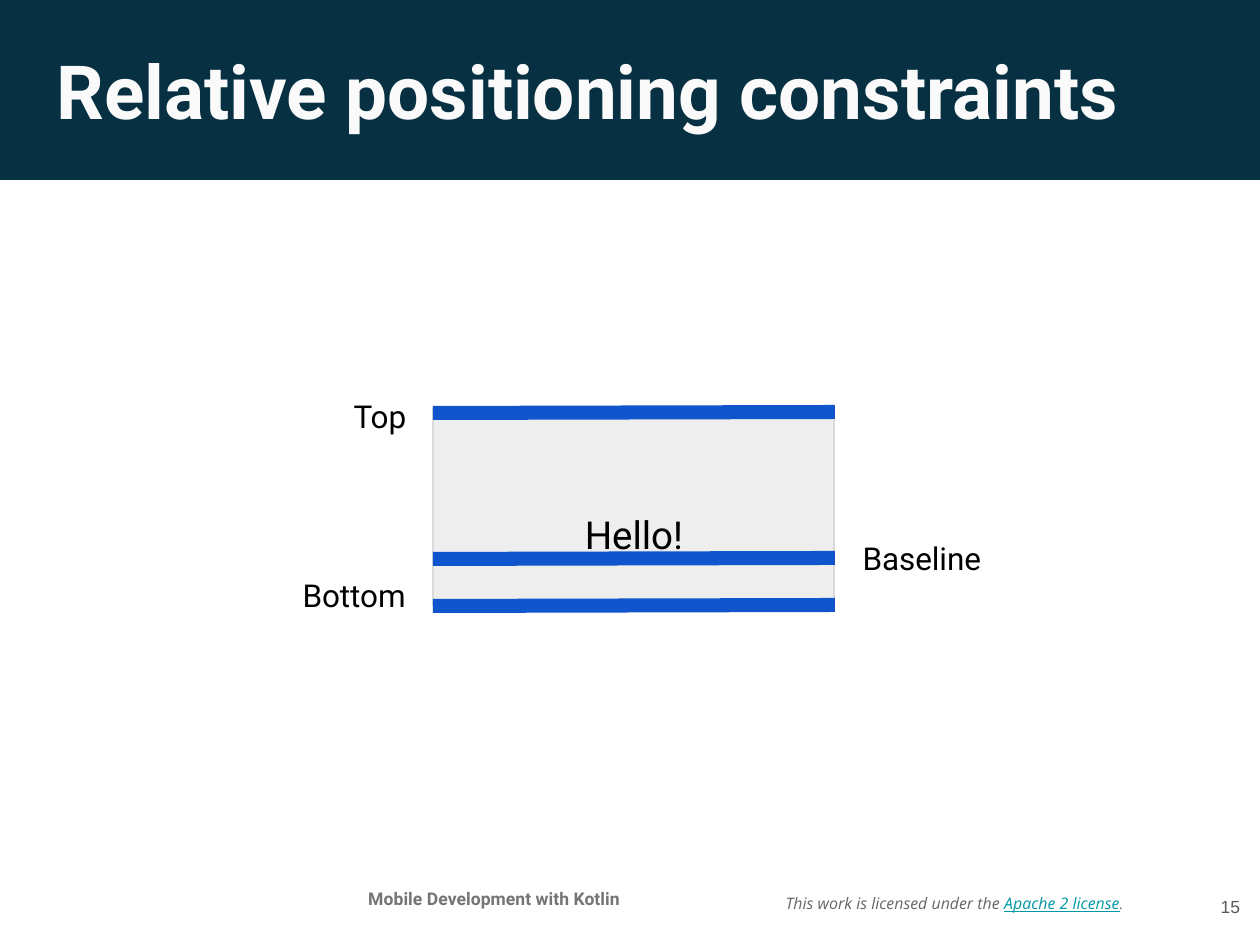
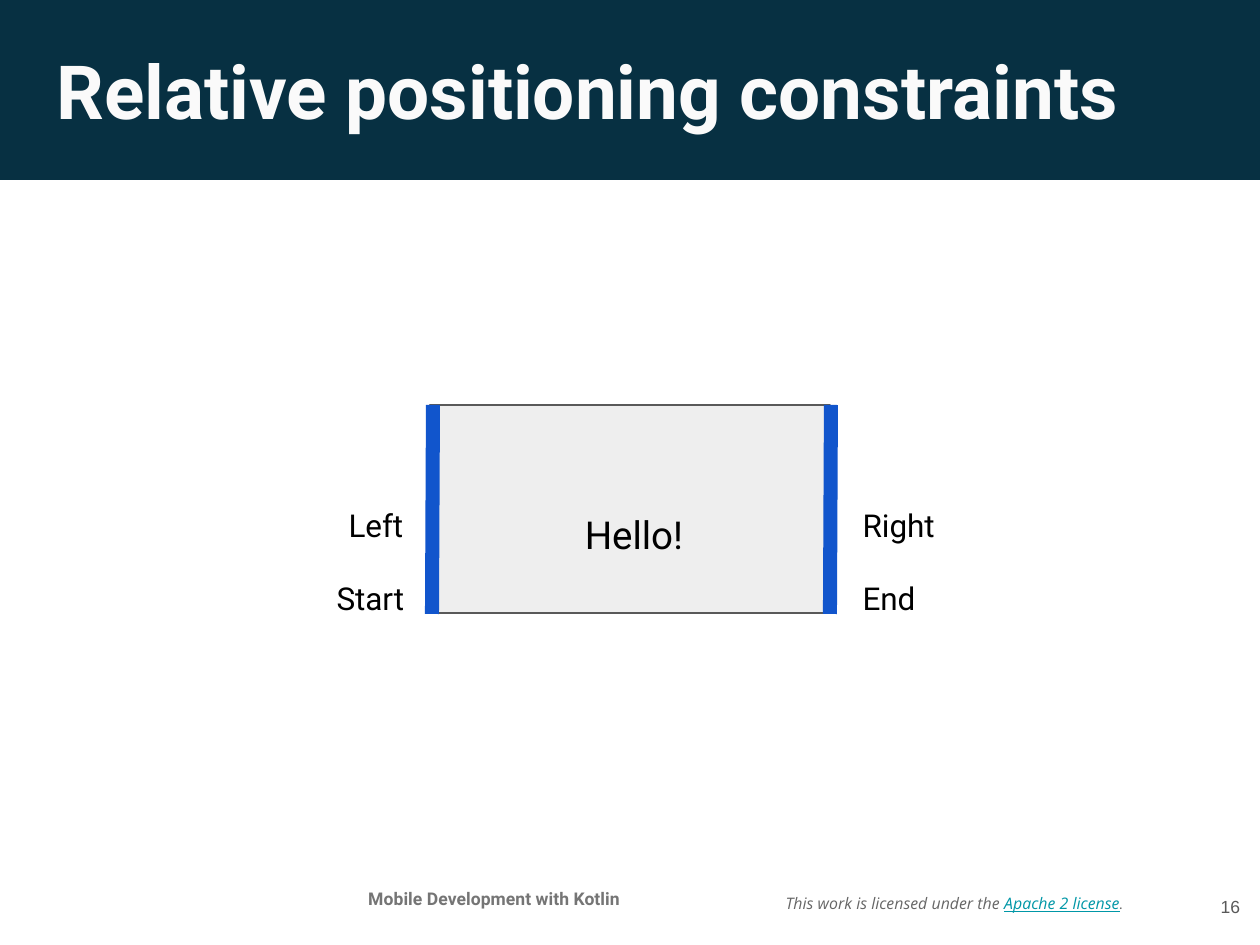
from lxml.etree import SubElement
from pptx import Presentation
from pptx.dml.color import RGBColor
from pptx.enum.shapes import MSO_CONNECTOR as CONN, MSO_SHAPE as SHAPE
from pptx.enum.text import MSO_ANCHOR as ANCHOR, MSO_AUTO_SIZE as AUTO, PP_ALIGN as ALIGN
from pptx.oxml.ns import qn
from pptx.util import Emu, Pt

TITLE = "Relative positioning constraints"


def px(n):
    """Turn px (168 to the inch) into EMU."""
    return Emu(round(n * 914400 / 168))


def rgb(hex_color):
    return RGBColor.from_string(hex_color)


class Deck:
    BAND, EDGE, PANEL = "073042", "1155CC", "EEEEEE"
    TITLE_FONT = dict(name="Roboto", size=32, bold=True, color="FAFAFA")
    COURSE_FONT = dict(name="Roboto", size=7.5, bold=True, color="757575")
    LICENSE_FONT = dict(name="Open Sans", size=6.8, italic=True, color="666666")
    NUMBER_FONT = dict(name="Arial", size=7.5, color="595959")
    LABEL_FONT = dict(name="Roboto", size=13.5, color="000000")
    VIEW_FONT = dict(LABEL_FONT, size=16.5)

    def __init__(self):
        self.prs = Presentation()
        self.prs.slide_width, self.prs.slide_height = px(1260), px(945)
        self.s = None

    def slide(self, title, number):
        """Start a slide with the shared band, title and footer."""
        self.s = self.prs.slides.add_slide(self.prs.slide_layouts[5])
        band = self.rect((-2, -6, 1262, 186), self.BAND)
        tree = self.s.shapes._spTree
        tree.remove(band._element)
        tree.insert(2, band._element)

        sp = self.s.shapes.title
        sp.left, sp.top, sp.width, sp.height = map(px, (44, 32, 1174, 106))
        self.fill_text(sp.text_frame, [(title, self.TITLE_FONT)])

        link = dict(self.LICENSE_FONT, color="0097A7", underline=True)
        self.text((773, 864, 370, 79), [
            ("This work is licensed under the ", self.LICENSE_FONT),
            ("Apache 2 license", link),
            (".", dict(self.LICENSE_FONT, name="Roboto")),
        ], anchor=ANCHOR.MIDDLE)
        self.text((316, 875, 356, 54),
                  [("Mobile Development with Kotlin", self.COURSE_FONT)], ALIGN.CENTER)
        self.text((1178, 870, 75, 72), [(str(number), self.NUMBER_FONT)],
                  ALIGN.RIGHT, ANCHOR.MIDDLE)

    def fill_text(self, tf, runs, align=ALIGN.LEFT, anchor=ANCHOR.TOP):
        """Write one paragraph of (text, format) runs."""
        inset = px(12.6)
        frame = dict(word_wrap=True, auto_size=AUTO.NONE, vertical_anchor=anchor,
                     margin_left=inset, margin_right=inset,
                     margin_top=inset, margin_bottom=inset)
        for key, value in frame.items():
            setattr(tf, key, value)
        p = tf.paragraphs[0]
        p.alignment = align
        for text, style in runs:
            r = p.add_run()
            r.text = text
            for key, value in style.items():
                if key == "color":
                    r.font.color.rgb = rgb(value)
                else:
                    setattr(r.font, key, Pt(value) if key == "size" else value)

    def text(self, box, runs, align=ALIGN.LEFT, anchor=ANCHOR.TOP):
        sp = self.s.shapes.add_textbox(*map(px, box))
        self.fill_text(sp.text_frame, runs, align, anchor)

    def label(self, text, *box):
        self.text(box, [(text, self.LABEL_FONT)], anchor=ANCHOR.MIDDLE)

    def rect(self, box, fill, line=None):
        sp = self.s.shapes.add_shape(SHAPE.RECTANGLE, *map(px, box))
        sp.shadow.inherit = False
        sp.fill.solid()
        sp.fill.fore_color.rgb = rgb(fill)
        if line:
            sp.line.color.rgb = rgb(line)
            sp.line.width = Pt(0.75)
        else:
            sp.line.fill.background()
        return sp

    def view(self, box, outline):
        """Draw the view's panel with its text."""
        self.rect(box, self.PANEL, outline)
        self.text((433, 470, 402, 100), [("Hello!", self.VIEW_FONT)],
                  ALIGN.CENTER, ANCHOR.BOTTOM)

    def edge(self, *ends):
        """Draw a constraint edge from x1, y1 to x2, y2."""
        cx = self.s.shapes.add_connector(CONN.STRAIGHT, *map(px, ends))
        cx.line.color.rgb = rgb(self.EDGE)
        cx.line.width = Pt(6)
        SubElement(cx._element.spPr, qn("a:effectLst"))


def main():
    deck = Deck()

    deck.slide(TITLE, 15)
    deck.view((433, 408, 401, 198), "D9D9D9")
    for y in (559, 606, 413):
        deck.edge(433, y, 835, y - 1)
    deck.label("Top", 341, 398, 89, 36)
    deck.label("Bottom", 290, 577, 143, 36)
    deck.label("Baseline", 850, 540, 164, 36)

    deck.slide(TITLE, 16)
    deck.view((430, 405, 400, 208), "595959")
    for x in (432, 830):
        deck.edge(x, 614, x + 1, 405)
    deck.label("Start", 324, 579, 116, 38)
    deck.label("Left", 336, 506, 86, 38)
    for text, y in (("Right", 493), ("End", 566)):
        deck.label(text, 850, y, 180, 64)

    deck.prs.save("out.pptx")


if __name__ == "__main__":
    main()
